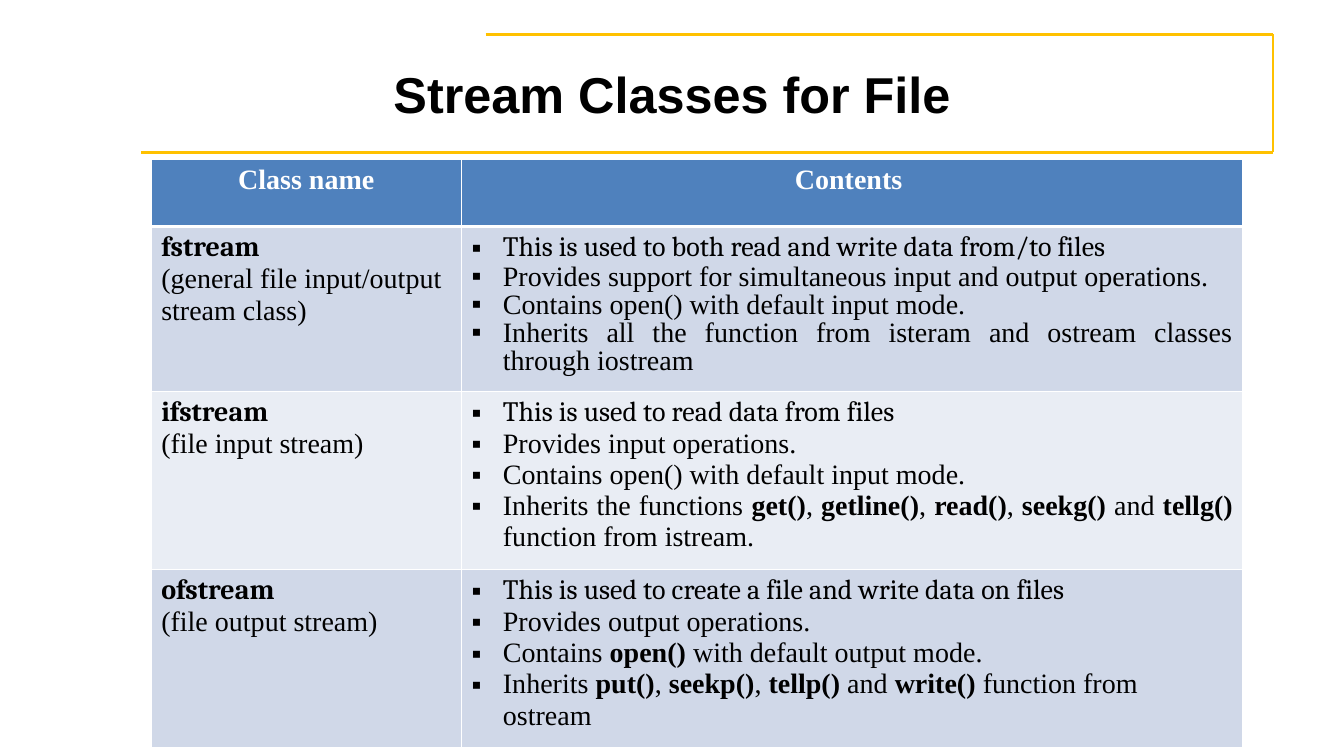
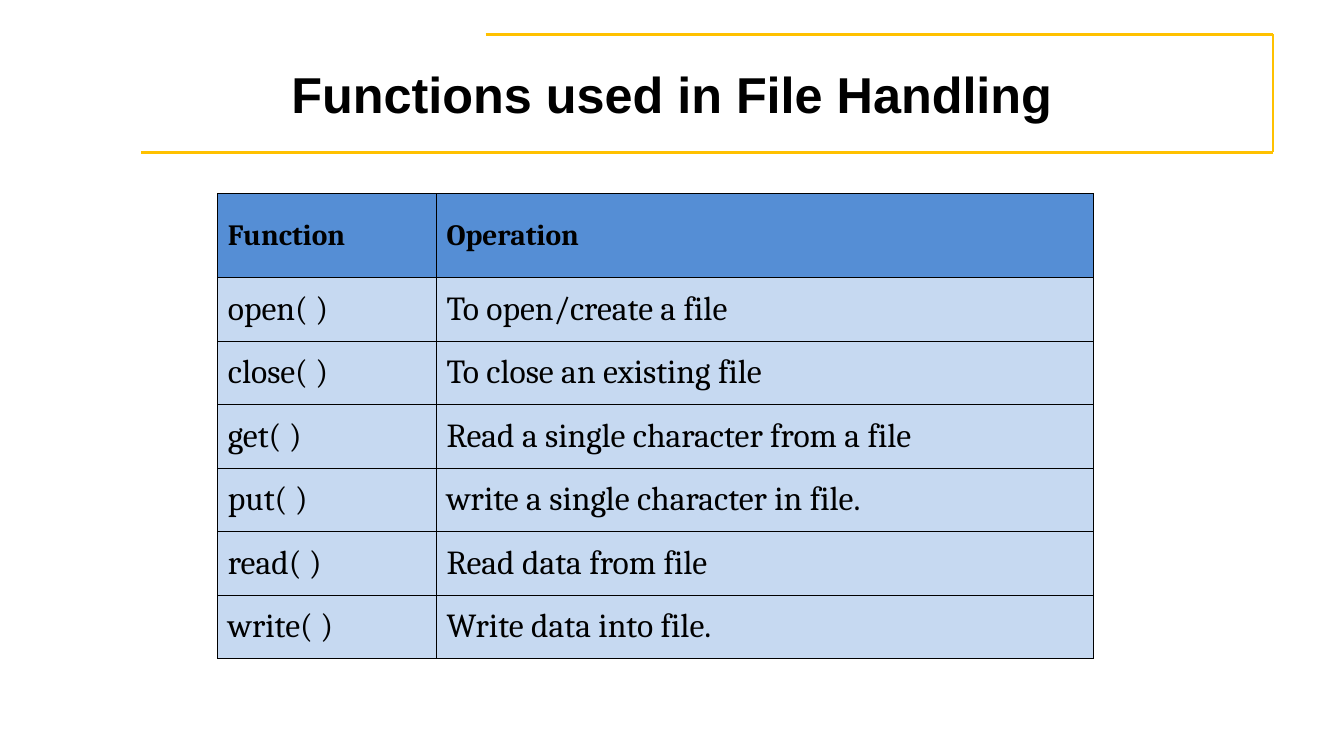
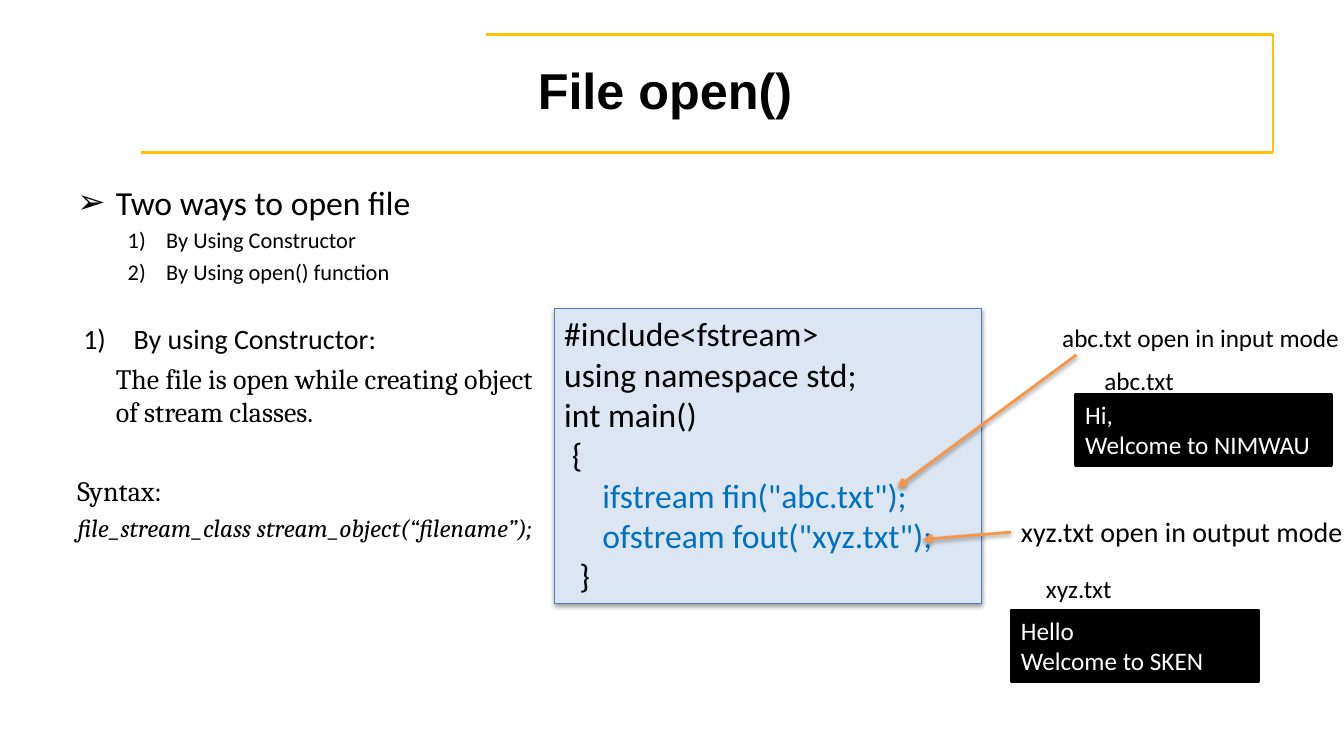
from dataclasses import dataclass

from lxml.etree import SubElement
from pptx import Presentation
from pptx.dml.color import RGBColor
from pptx.enum.shapes import MSO_CONNECTOR, MSO_SHAPE
from pptx.enum.text import MSO_ANCHOR, PP_ALIGN
from pptx.oxml.ns import qn
from pptx.util import Cm, Pt


@dataclass(frozen=True)
class Theme:
    black: str = "000000"
    white: str = "FFFFFF"
    gold: str = "FFC100"
    head: str = "4F81BD"
    odd: str = "D0D8E8"
    even: str = "E9EDF4"
    top: str = "558ED5"
    body: str = "C6D9F1"
    pale: str = "DCE6F2"
    edge: str = "4B7EBC"
    code: str = "0070C0"
    arrow: str = "F79646"
    sans: str = "Arial"
    plain: str = "Calibri"
    serif: str = "Cambria"
    roman: str = "Times New Roman"
    title: int = 36
    big: int = 24
    label: int = 21
    text: int = 20
    note: int = 18
    small: int = 16


T = Theme()

CLASSES = [
    ("fstream", "(general file input/output stream class)", [
        ["This is used to both read and write data from/to files"],
        ["Provides support for simultaneous input and output operations. "],
        ["Contains open() with default input mode. "],
        ["Inherits all the function from isteram and ostream classes through iostream"],
    ], PP_ALIGN.JUSTIFY, 0.9),
    ("ifstream", "(file input stream)", [
        ["This is used to read data from files"],
        ["Provides input operations."],
        ["Contains open() with default input mode. "],
        ["Inherits the functions ", "get()", ", ", "getline()", ", ", "read()", ", ",
         "seekg() ", "and ", "tellg()", " function from istream."],
    ], PP_ALIGN.JUSTIFY, None),
    ("ofstream", "(file output stream)", [
        ["This is used to create a file and write data on files"],
        ["Provides output operations."],
        ["Contains", " open() ", "with default output mode."],
        ["Inherits ", "put()", ", ", "seekp()", ", ", "tellp()", " and ", "write() ",
         "function from ostream"],
    ], PP_ALIGN.LEFT, None),
]

CALLS = [
    ("Function", "Operation"),
    ("open( )", "To open/create a file"),
    ("close( )", "To close an existing file"),
    ("get( )", "Read a single character from a file"),
    ("put( )", "write a single character in file."),
    ("read( )", "Read data from file"),
    ("write( )", "Write data into file."),
]

CODE = [
    ("#include<fstream>", 0, T.black),
    ("using namespace std;", 0, T.black),
    ("int main()", 0, T.black),
    ("{", 0.19, T.black),
    ('ifstream fin("abc.txt");', 0.96, T.code),
    ('ofstream fout("xyz.txt");', 0.96, T.code),
    ("}", 0.38, T.black),
]


def rgb(tone):
    return RGBColor.from_string(tone)


def add_run(para, text, font, size, tone=T.black, bold=False, slant=False):
    run = para.add_run()
    run.text = text
    run.font.name = font
    run.font.size = Pt(size)
    run.font.bold = bold
    run.font.italic = slant
    run.font.color.rgb = rgb(tone)


def add_para(frame, align=PP_ALIGN.LEFT, left=0, hang=0, mark=None, gap=0, level=0):
    para = frame.paragraphs[0]
    if para.runs:
        para = frame.add_paragraph()
    para.alignment = align
    para.level = level
    para.space_before = Pt(gap)
    props = para._p.get_or_add_pPr()
    props.set("marL", str(Cm(left)))
    props.set("indent", str(-Cm(hang)))
    if mark == "1)":
        SubElement(props, qn("a:buAutoNum"), type="arabicParenR")
    elif mark:
        SubElement(props, qn("a:buFont"), typeface=T.sans)
        SubElement(props, qn("a:buChar"), char=mark)
    else:
        SubElement(props, qn("a:buNone"))
    return para


def add_text(slide, x, y, wide, high, wrap=True):
    box = slide.shapes.add_textbox(Cm(x), Cm(y), Cm(wide), Cm(high))
    box.text_frame.word_wrap = wrap
    return box


def add_note(slide, text, x, y, wide, size=T.note):
    box = add_text(slide, x, y, wide, 1.12 if size == T.text else 1.02, False)
    box.text_frame.margin_right = 0
    add_run(add_para(box.text_frame), text, T.plain, size)
    return box


def add_box(slide, x, y, wide, high, fill, line, width):
    box = slide.shapes.add_shape(MSO_SHAPE.RECTANGLE, Cm(x), Cm(y), Cm(wide), Cm(high))
    box.fill.solid()
    box.fill.fore_color.rgb = rgb(fill)
    box.line.color.rgb = rgb(line)
    box.line.width = Pt(width)
    box.shadow.inherit = False
    box.text_frame.word_wrap = True
    box.text_frame.vertical_anchor = MSO_ANCHOR.TOP
    return box


def add_shade(shape):
    props = shape._element.spPr
    group = props.find(qn("a:effectLst"))
    cast = SubElement(group, qn("a:outerShdw"), blurRad="40000", dist="20000",
                      dir="5400000", rotWithShape="0")
    tone = SubElement(cast, qn("a:srgbClr"), val=T.black)
    SubElement(tone, qn("a:alpha"), val="38000")


def add_line(slide, start, end, tone):
    ends = [Cm(n) for n in (*start, *end)]
    line = slide.shapes.add_connector(MSO_CONNECTOR.STRAIGHT, *ends)
    line.line.color.rgb = rgb(tone)
    line.line.width = Pt(2)
    SubElement(line._element.spPr, qn("a:effectLst"))
    return line


def add_arrow(slide, start, end):
    line = add_line(slide, start, end, T.arrow)
    SubElement(line.line._get_or_add_ln(), qn("a:tailEnd"), type="arrow")
    add_shade(line)
    return line


def add_slide(deck, title, y=0.76):
    slide = deck.slides.add_slide(deck.slide_layouts[6])
    turns = [(12.24, 0.86), (32.08, 0.86), (32.08, 3.84), (3.56, 3.84)]
    for start, end in zip(turns, turns[1:]):
        add_line(slide, start, end, T.gold)
    frame = add_text(slide, 1.7, y, 30.48, 3.18).text_frame
    frame.vertical_anchor = MSO_ANCHOR.MIDDLE
    add_run(add_para(frame, PP_ALIGN.CENTER), title, T.sans, T.title, bold=True)
    return slide


def add_grid(slide, x, y, cols, rows):
    grid = slide.shapes.add_table(len(rows), len(cols), Cm(x), Cm(y),
                                  Cm(sum(cols)), Cm(sum(rows))).table
    grid.first_row = grid.horz_banding = False
    for col, wide in zip(grid.columns, cols):
        col.width = Cm(wide)
    for row, high in zip(grid.rows, rows):
        row.height = Cm(high)
    return grid


def style_cell(cell, fill, line, top=1, base=1):
    cell.fill.solid()
    cell.fill.fore_color.rgb = rgb(fill)
    props = cell._tc.get_or_add_tcPr()
    sides = (("lnL", 1), ("lnR", 1), ("lnT", top), ("lnB", base))
    for spot, (side, width) in enumerate(sides):
        edge = SubElement(props, qn(f"a:{side}"), w=str(Pt(width)))
        paint = SubElement(edge, qn("a:solidFill"))
        SubElement(paint, qn("a:srgbClr"), val=line)
        props.insert(spot, edge)


def draw_classes(deck):
    slide = add_slide(deck, "Stream Classes for File")
    grid = add_grid(slide, 3.81, 4.01, [7.82, 19.69], [1.7, 3.88, 4.2, 4.2])
    for col, text in enumerate(("Class name", "Contents ")):
        cell = grid.cell(0, col)
        style_cell(cell, T.head, T.white, base=3)
        para = add_para(cell.text_frame, PP_ALIGN.CENTER)
        add_run(para, text, T.roman, T.text, T.white, True)
    for row, (name, note, points, align, space) in enumerate(CLASSES, 1):
        left, right = grid.cell(row, 0), grid.cell(row, 1)
        for cell in (left, right):
            style_cell(cell, T.odd if row % 2 else T.even, T.white, 3 if row == 1 else 1)
        add_run(add_para(left.text_frame), name, T.serif, T.text, bold=True)
        add_run(add_para(left.text_frame), note, T.roman, T.text)
        for rank, parts in enumerate(points):
            para = add_para(right.text_frame, align if rank else PP_ALIGN.LEFT,
                            0.79, 0.79, "▪")
            if rank and space:
                para.line_spacing = space
            for spot, part in enumerate(parts):
                add_run(para, part, T.roman if rank else T.serif, T.text,
                        bold=spot % 2 == 1)


def draw_calls(deck):
    slide = add_slide(deck, "Functions used in File Handling")
    grid = add_grid(slide, 5.49, 4.88, [5.51, 16.56], [2.12] + [1.6] * 6)
    for row, texts in enumerate(CALLS):
        for col, text in enumerate(texts):
            cell = grid.cell(row, col)
            style_cell(cell, T.body if row else T.top, T.black)
            cell.vertical_anchor = MSO_ANCHOR.MIDDLE
            add_run(add_para(cell.text_frame), text, T.serif,
                    T.big if row else T.label, bold=row == 0)


def draw_open(deck):
    slide = add_slide(deck, "File open() ", 0.66)
    frame = add_text(slide, 1.7, 4.45, 12.32, 13.54).text_frame
    points = [
        ("Two ways to open file", T.plain, T.big, 0.97, 0.97, "➢", 4.8, 0),
        ("By Using Constructor", T.plain, T.small, 2.24, 0.97, "1)", 3.2, 1),
        ("By Using open() function", T.plain, T.small, 2.24, 0.97, "1)", 3.2, 1),
        ("By using Constructor:", T.plain, T.text, 1.42, 1.27, "1)", 26.7, 0),
        ("The file is open while creating object of stream classes.",
         T.serif, T.text, 0.97, 0, None, 4, 0),
        ("Syntax:", T.serif, T.text, 0, 0, None, 32.4, 0),
        ("file_stream_class stream_object(“filename”);",
         T.serif, T.note, 0, 0, None, 3.6, 0),
    ]
    for text, font, size, left, hang, mark, gap, level in points:
        para = add_para(frame, PP_ALIGN.LEFT, left, hang, mark, gap, level)
        add_run(para, text, font, size, slant=size == T.note)

    code = add_box(slide, 13.97, 7.77, 10.77, 7.44, T.pale, T.edge, 0.75)
    add_shade(code)
    for text, left, tone in CODE:
        add_run(add_para(code.text_frame, left=left), text, T.plain, T.big, tone)

    files = [
        (27.1, 9.93, 6.45, ("Hi,", "Welcome to NIMWAU")),
        (25.48, 15.37, 6.25, ("Hello", "Welcome to SKEN")),
    ]
    for x, y, wide, lines in files:
        box = add_box(slide, x, y, wide, 1.8, T.black, T.black, 2)
        for text in lines:
            add_run(add_para(box.text_frame), text, T.plain, T.note, T.white)

    add_note(slide, "xyz.txt", 26.11, 14.33, 2.97)
    add_note(slide, "abc.txt", 27.58, 9.07, 2.97)
    add_note(slide, "abc.txt open in input mode", 26.52, 8, 7.34)
    out = add_note(slide, "xyz.txt open in output mode", 25.48, 12.85, 8.38, T.text)
    add_arrow(slide, (27.13, 8.94), (22.63, 12.27))
    add_arrow(slide, (25.48, 13.41), (23.27, 13.59)).begin_connect(out, 1)


def main():
    deck = Presentation()
    deck.slide_width, deck.slide_height = Cm(33.87), Cm(19.05)
    draw_classes(deck)
    draw_calls(deck)
    draw_open(deck)
    deck.save("out.pptx")


if __name__ == "__main__":
    main()
